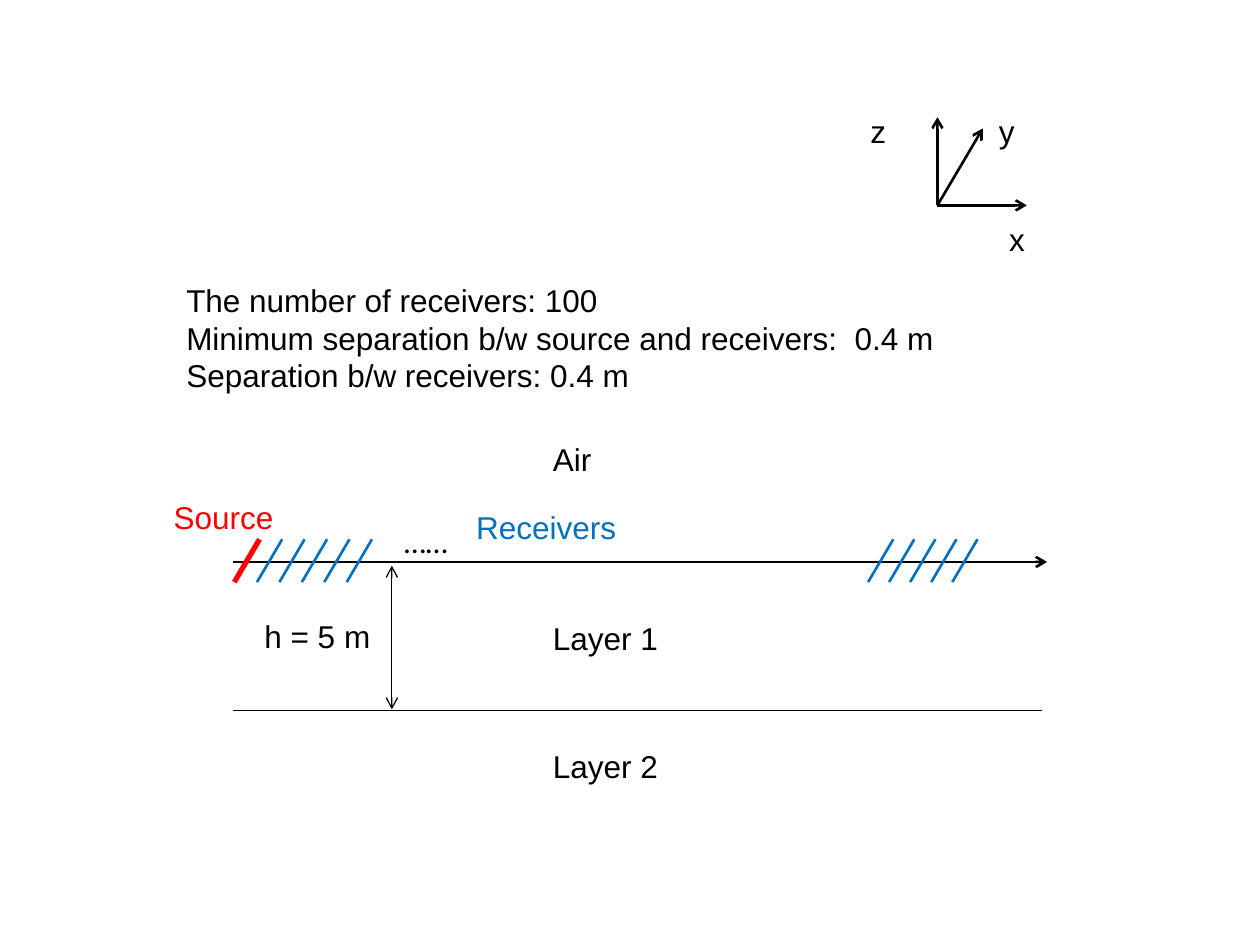
from pptx import Presentation
from pptx.util import Inches, Pt
from pptx.dml.color import RGBColor
from pptx.enum.shapes import MSO_CONNECTOR
from pptx.enum.text import PP_ALIGN
from pptx.oxml.ns import qn
from lxml.etree import SubElement

BLACK = RGBColor(0x00, 0x00, 0x00)
RED = RGBColor(0xFF, 0x00, 0x00)
BLUE = RGBColor(0x00, 0x70, 0xC0)


def draw_line(slide, start, end, color=BLACK, width=1.5, ends=()):
    line = slide.shapes.add_connector(
        MSO_CONNECTOR.STRAIGHT, *map(Inches, start + end))
    line.line.color.rgb = color
    line.line.width = Pt(width)
    props = line._element.spPr
    for name in ends:
        SubElement(props.find(qn("a:ln")), qn("a:" + name), type="arrow")
    SubElement(props, qn("a:effectLst"))


def add_text(slide, box, *rows, color=BLACK, face="Arial", align=PP_ALIGN.LEFT):
    frame = slide.shapes.add_textbox(*map(Inches, box)).text_frame
    frame.word_wrap = True
    form = {"name": face, "size": Pt(18)}
    for i, row in enumerate(rows):
        para = frame.paragraphs[0] if i == 0 else frame.add_paragraph()
        para.alignment = align
        run = para.add_run()
        run.text = row
        for key, value in form.items():
            setattr(run.font, key, value)
        run.font.color.rgb = color


def add_axes(slide, left, top, width, height):
    base = (left + 0.63, top + 0.79)
    for tip in ((left + width - 0.15, base[1]),
                (left + 0.99, top + 0.18),
                (base[0], top + 0.09)):
        draw_line(slide, base, tip, ends=["tailEnd"])
    for name, x, y in (("x", left + width - 0.39, top + height - 0.4),
                       ("y", left + 1.02, top),
                       ("z", left, top)):
        add_text(slide, (x, y, 0.39, 0.4), name)


def add_ticks(slide, left, top, width, height, count, gap):
    for i in range(count):
        x = left + i * gap
        draw_line(slide, (x + width, top), (x, top + height), BLUE)


def add_array(slide, left, top, width, height):
    mid = top + 0.56
    tick = top + 0.38
    draw_line(slide, (left, mid), (left + width, mid), ends=["tailEnd"])
    draw_line(slide, (left + 0.21, tick), (left + 0.01, top + height), RED, 3)
    for start, gap in ((0.19, 0.178), (5.04, 0.167)):
        add_ticks(slide, left + start, tick, 0.2, height - 0.38, 5, gap)
    add_text(slide, (left + 1.26, top + 0.19, 1.02, 0.4), "……", face="Calibri")
    add_text(slide, (left - 0.57, top, 1.21, 0.4), "Source", color=RED)
    add_text(slide, (left + 0.95, top + 0.08, 3.07, 0.4), "Receivers",
             color=BLUE, align=PP_ALIGN.CENTER)


def add_layers(slide, left, top, width, height):
    base = top + 2.2
    mark = left + 1.26
    draw_line(slide, (left, base), (left + width, base), width=0.75)
    draw_line(slide, (mark, top + 1.05), (mark, base - 0.01), width=0.75,
              ends=["headEnd", "tailEnd"])
    add_text(slide, (left + 0.15, top + 1.41, 1.12, 0.4), "h = 5 m")
    for name, y in (("Air", top), ("Layer 1", top + 1.42),
                    ("Layer 2", top + height - 0.41)):
        add_text(slide, (left + 2.44, y, 1.63, 0.41), name)


def main():
    deck = Presentation()
    deck.slide_width = Inches(10)
    deck.slide_height = Inches(7.5)
    slide = deck.slides.add_slide(deck.slide_layouts[6])
    add_axes(slide, 6.81, 0.84, 1.49, 1.26)
    add_text(slide, (1.38, 2.18, 6.21, 1.31),
             "The number of receivers: 100",
             "Minimum separation b/w source and receivers:  0.4 m",
             "Separation b/w receivers: 0.4 m")
    add_array(slide, 1.85, 3.9, 6.46, 0.72)
    add_layers(slide, 1.85, 3.44, 6.42, 2.85)
    deck.save("out.pptx")


if __name__ == "__main__":
    main()
